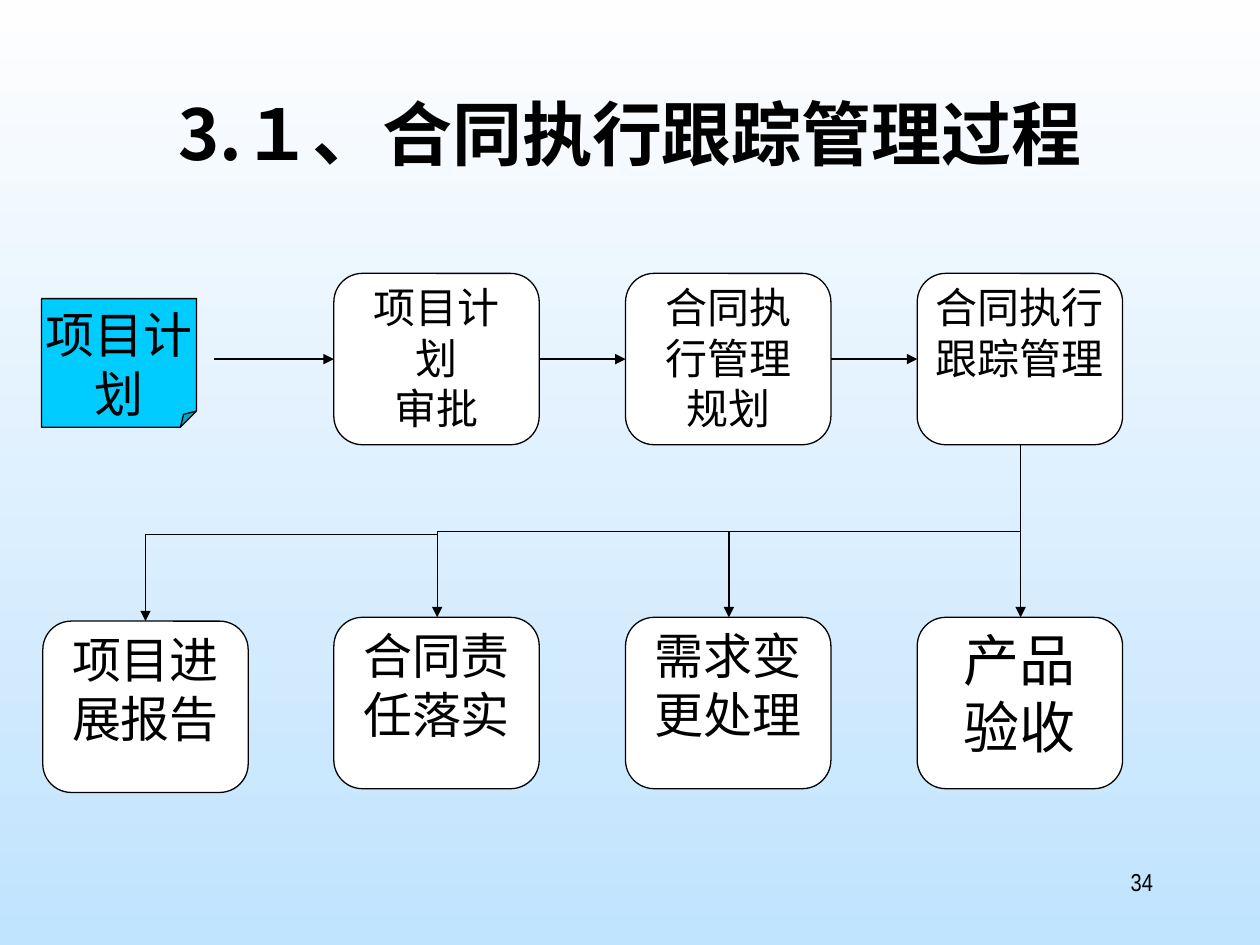
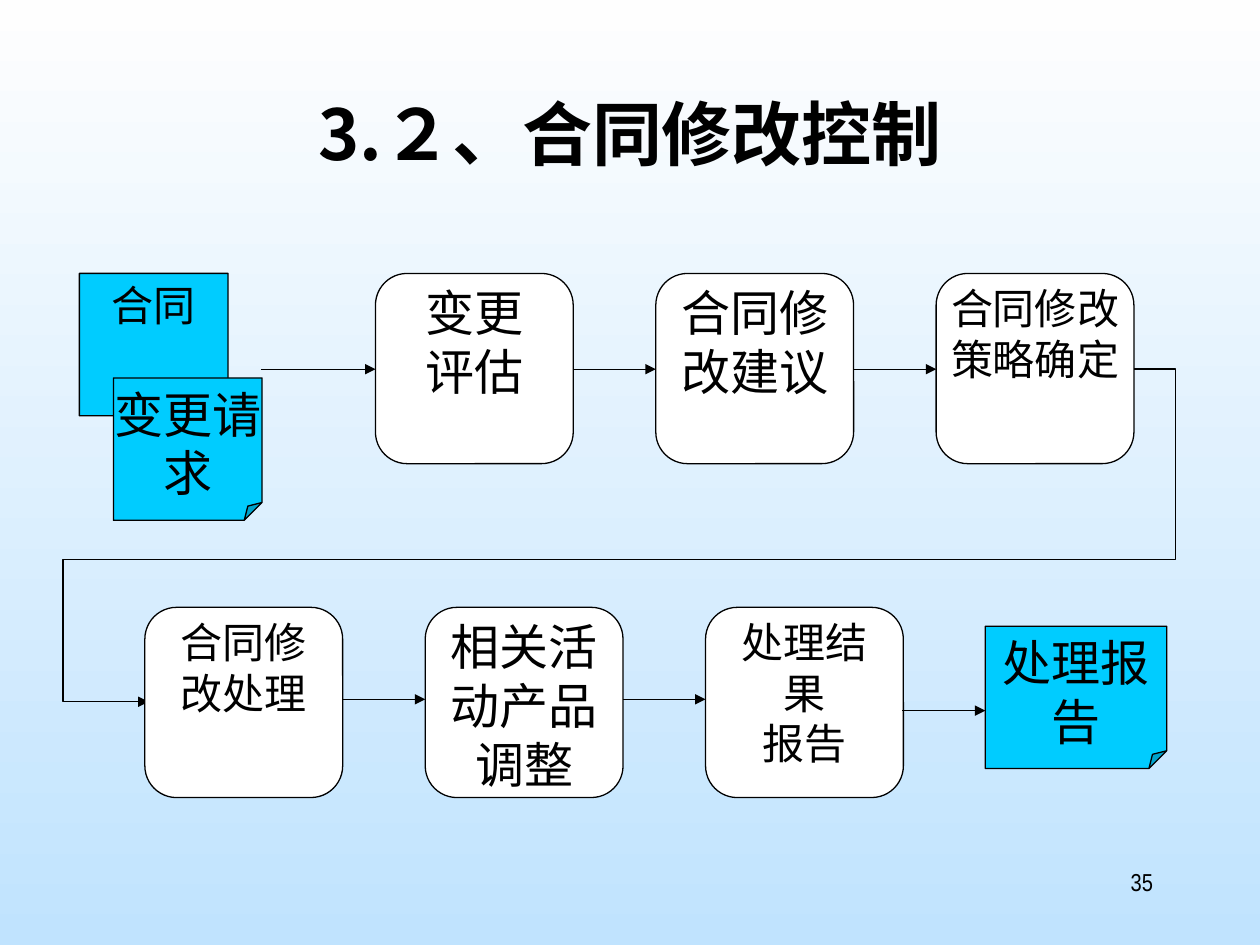
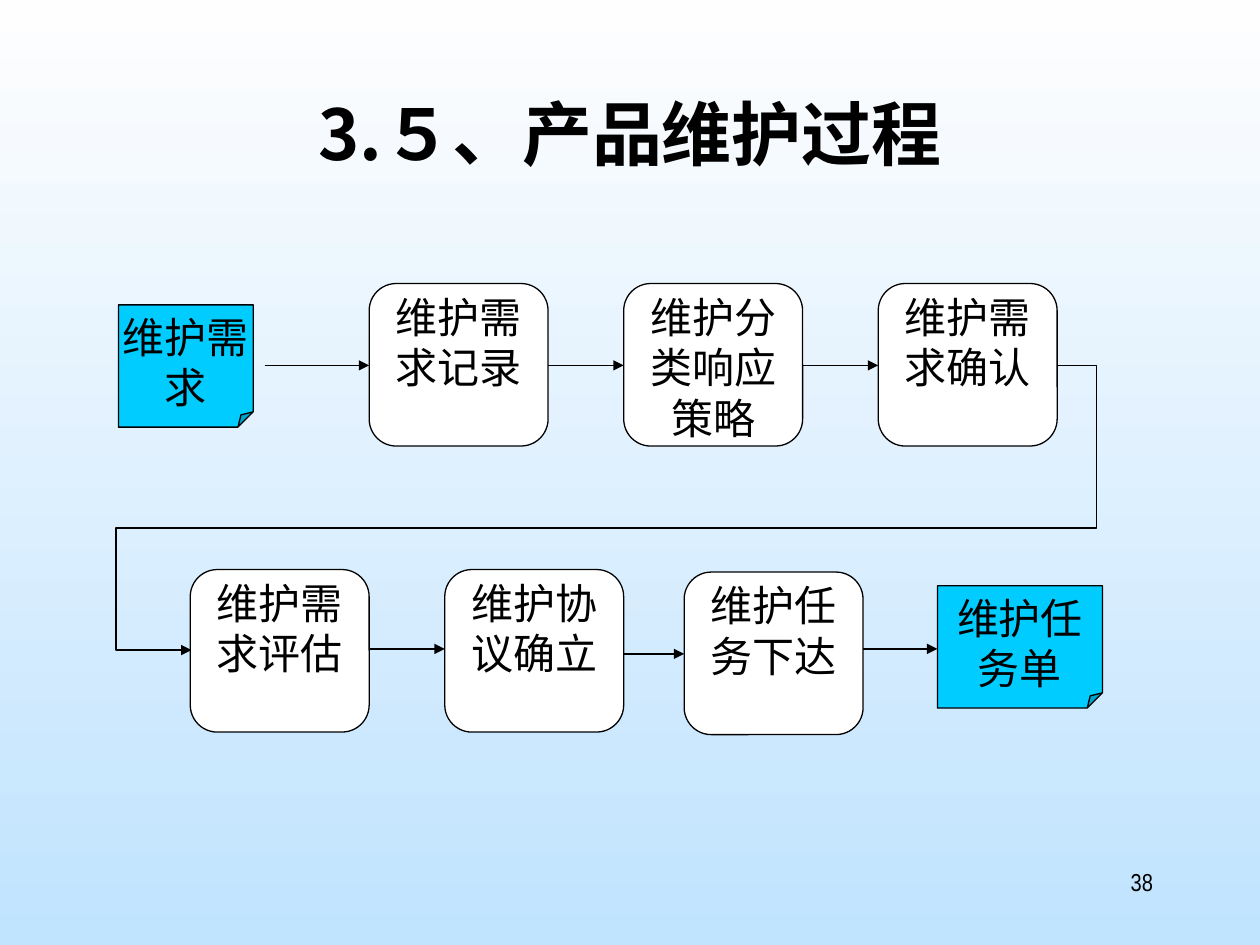
from collections import namedtuple
from dataclasses import dataclass

from lxml import etree
from pptx import Presentation
from pptx.dml.color import RGBColor
from pptx.enum.shapes import MSO_CONNECTOR, MSO_SHAPE
from pptx.enum.text import MSO_ANCHOR, MSO_AUTO_SIZE, PP_ALIGN
from pptx.oxml.ns import qn
from pptx.util import Inches, Pt

STRAIGHT = MSO_CONNECTOR.STRAIGHT
ROUNDED, NOTE = MSO_SHAPE.ROUNDED_RECTANGLE, MSO_SHAPE.FOLDED_CORNER
TOP, NO_FIT = MSO_ANCHOR.TOP, MSO_AUTO_SIZE.NONE
CENTER, RIGHT = PP_ALIGN.CENTER, PP_ALIGN.RIGHT
TITLE_ONLY = 5


@dataclass(frozen=True)
class Theme:
    ink: RGBColor = RGBColor(0, 0, 0)
    step: RGBColor = RGBColor(0xFF, 0xFF, 0xFF)
    document: RGBColor = RGBColor(0, 0xCC, 0xFF)
    sky: tuple = (RGBColor(0xFE, 0xFE, 0xFE), RGBColor(0xC0, 0xE3, 0xFE))
    cjk: str = "Noto Sans CJK SC"
    body: str = "Times New Roman"
    number: str = "Arial Narrow"
    title_pt: int = 40
    number_pt: int = 14
    small: int = 24
    medium: int = 28
    large: int = 32
    line_pt: float = 0.75


T = Theme()
Step = namedtuple("Step", "text size inset before", defaults=(T.small, 0.1, 0))
# A row of equal boxes: left of first box, top, box size, column pitch
Row = namedtuple("Row", "x y w h pitch")


# ---- Formatting -------------------------------------------------------
def apply(obj, formats):
    for name, value in formats.items():
        setattr(obj, name, value)


def write(tf, text, size, font, align=CENTER, bold=False, inset=(0.1, 0.05), before=0):
    tf.text = text
    dx, dy = map(Inches, inset)
    apply(tf, dict(word_wrap=True, auto_size=NO_FIT, vertical_anchor=TOP,
                   margin_left=dx, margin_right=dx, margin_top=dy, margin_bottom=dy))
    for p in tf.paragraphs:
        apply(p, dict(alignment=align, space_before=Pt(before)))
        for r in p.runs:
            apply(r.font, dict(name=font, size=Pt(size), bold=bold))
            r.font.color.rgb = T.ink
            ea = etree.SubElement(r.font._element, qn("a:ea"))
            ea.set("typeface", T.cjk)


def outline(shape, arrow=False):
    shape.line.color.rgb = T.ink
    shape.line.width = Pt(T.line_pt)
    if arrow:
        etree.SubElement(shape.line._get_or_add_ln(), qn("a:tailEnd")).set("type", "triangle")


# ---- Diagram elements -------------------------------------------------
def box(s, kind, at, fill, text, size, inset, before=0):
    sp = s.shapes.add_shape(kind, *map(Inches, at))
    sp.fill.solid()
    sp.fill.fore_color.rgb = fill
    outline(sp)
    sp.shadow.inherit = False
    write(sp.text_frame, text, size, T.body, inset=inset, before=before)
    return sp


def document(s, text, at, size=T.small):
    sp = box(s, NOTE, at, T.document, text, size, (0, 0.05))
    # Fold an eighth of the shorter side
    guides = next(sp._element.spPr.iter(qn("a:avLst")))
    fold = etree.SubElement(guides, qn("a:gd"))
    fold.set("name", "adj")
    fold.set("fmla", "val 12500")


def arrow(s, x1, y1, x2, y2):
    line = s.shapes.add_connector(STRAIGHT, *map(Inches, (x1, y1, x2, y2)))
    outline(line, arrow=True)
    etree.SubElement(line._element.spPr, qn("a:effectLst"))


def bent_arrow(s, *points):
    pts = [(Inches(x), Inches(y)) for x, y in points]
    fb = s.shapes.build_freeform(*pts[0])
    fb.add_line_segments(pts[1:], close=False)
    sp = fb.convert_to_shape()
    sp.fill.background()
    outline(sp, arrow=True)
    sp.shadow.inherit = False


def step_row(s, row, steps, arrow_y=None):
    """Boxes at an equal pitch, joined by arrows when arrow_y is given."""
    for i, step in enumerate(steps):
        x = row.x + i * row.pitch
        box(s, ROUNDED, (x, row.y, row.w, row.h), T.step, step.text, step.size,
            (step.inset, 0), step.before)
        if arrow_y and i:
            arrow(s, x - row.pitch + row.w, arrow_y, x, arrow_y)


def wrap_arrow(s, start, right, middle, left, end):
    """Leads from the end of one row round to the start of the next."""
    bent_arrow(s, start, (right, start[1]), (right, middle),
               (left, middle), (left, end[1]), end)


# ---- Shared slide parts -----------------------------------------------
def paint_background(prs):
    fill = prs.slide_master.background.fill
    fill.gradient()
    fill.gradient_angle = 270
    for stop, color in zip(fill.gradient_stops, T.sky):
        stop.color.rgb = color


def new_slide(prs, title, number):
    s = prs.slides.add_slide(prs.slide_layouts[TITLE_ONLY])
    sp = s.shapes.title
    apply(sp, dict(left=Inches(0.75), top=Inches(0.67),
                   width=Inches(8.5), height=Inches(1.25)))
    write(sp.text_frame, title, T.title_pt, T.cjk, bold=True)
    tb = s.shapes.add_textbox(*map(Inches, (7.17, 6.83, 2.08, 0.5)))
    write(tb.text_frame, str(number), T.number_pt, T.number, align=RIGHT)
    return s


# ---- Slides -----------------------------------------------------------
def tracking_slide(prs):
    s = new_slide(prs, "3.１、合同执行跟踪管理过程", 34)
    top = Row(2.65, 2.17, 1.63, 1.36, 2.315)
    bottom = top._replace(y=4.9)
    report = bottom._replace(x=0.34, y=4.93)
    document(s, "项目计划", (0.33, 2.37, 1.23, 1.02), T.medium)
    arrow(s, 1.7, 2.85, top.x, 2.85)
    step_row(s, top, [Step("项目计划\n审批"), Step("合同执行管理规划"),
                      Step("合同执行\n跟踪管理", inset=0)], 2.85)
    step_row(s, report, [Step("项目进展报告", T.medium)])
    step_row(s, bottom, [Step("合同责任落实", T.medium), Step("需求变更处理", T.medium),
                         Step("产品验收", T.large, before=6)])

    # Branches from tracking down to the four results
    report_x, duty_x, change_x, accept_x = (
        report.x + report.w / 2 + i * top.pitch for i in range(4))
    branch_y = 4.22
    arrow(s, accept_x, top.y + top.h, accept_x, bottom.y)
    bent_arrow(s, (accept_x, branch_y), (duty_x, branch_y), (duty_x, bottom.y))
    arrow(s, change_x, branch_y, change_x, bottom.y)
    bent_arrow(s, (duty_x, 4.24), (report_x, 4.24), (report_x, report.y))


def change_slide(prs):
    s = new_slide(prs, "3.２、合同修改控制", 35)
    top = Row(2.98, 2.17, 1.57, 1.51, 2.225)
    bottom = top._replace(x=1.15, y=4.82)
    document(s, "合同", (0.63, 2.17, 1.18, 1.13))
    document(s, "变更请求", (0.9, 3, 1.18, 1.13), T.medium)
    arrow(s, 2.07, 2.93, top.x, 2.93)
    step_row(s, top, [Step("变更\n评估", T.medium), Step("合同修改建议", T.medium),
                      Step("合同修改\n策略确定", inset=0)], 2.93)
    wrap_arrow(s, (9, 2.93), 9.33, 4.44, 0.5, (1.18, 5.57))
    step_row(s, bottom, [Step("合同修改处理"), Step("相关活动产品调整", T.medium),
                         Step("处理结果\n报告")], 5.55)
    arrow(s, 7.16, 5.64, 7.82, 5.64)
    document(s, "处理报告", (7.82, 4.97, 1.44, 1.13), T.medium)


def maintenance_slide(prs):
    s = new_slide(prs, "3.５、产品维护过程", 38)
    top = Row(2.93, 2.25, 1.42, 1.29, 2.02)
    bottom = top._replace(x=1.51, y=4.52)
    release = top._replace(x=5.43, y=4.54)
    document(s, "维护需求", (0.94, 2.42, 1.07, 0.97))
    arrow(s, 2.1, 2.9, top.x, 2.9)
    step_row(s, top, [Step("维护需求记录"), Step("维护分类响应策略"),
                      Step("维护需求确认", inset=0)], 2.9)
    wrap_arrow(s, (8.4, 2.9), 8.7, 4.19, 0.92, (1.52, 5.16))
    step_row(s, bottom, [Step("维护需求评估"), Step("维护协议确立")], 5.15)
    arrow(s, 4.95, 5.19, release.x, 5.19)
    step_row(s, release, [Step("维护任务下达")])
    arrow(s, release.x + release.w, 5.15, 7.44, 5.15)
    document(s, "维护任务单", (7.44, 4.65, 1.31, 0.97))


def main():
    prs = Presentation()
    prs.slide_width, prs.slide_height = Inches(10), Inches(7.5)
    paint_background(prs)
    tracking_slide(prs)
    change_slide(prs)
    maintenance_slide(prs)
    prs.save("out.pptx")


if __name__ == "__main__":
    main()
